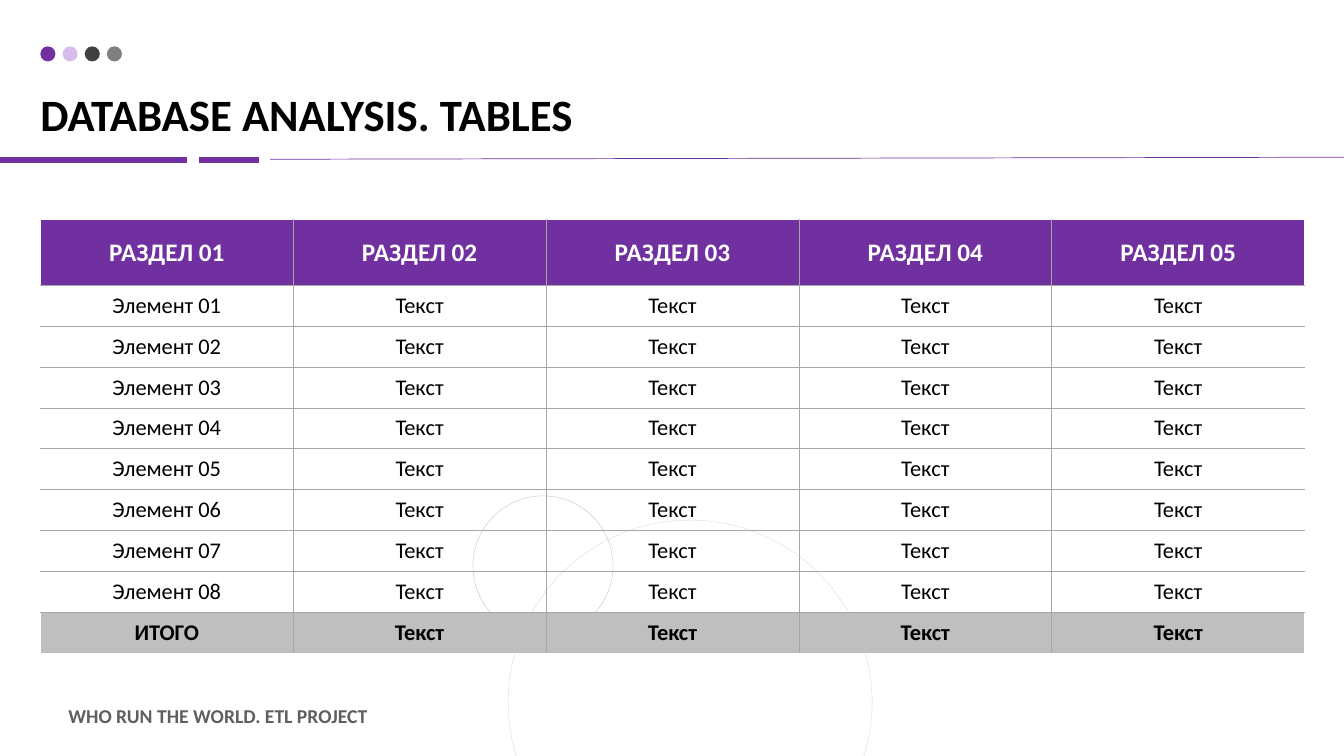
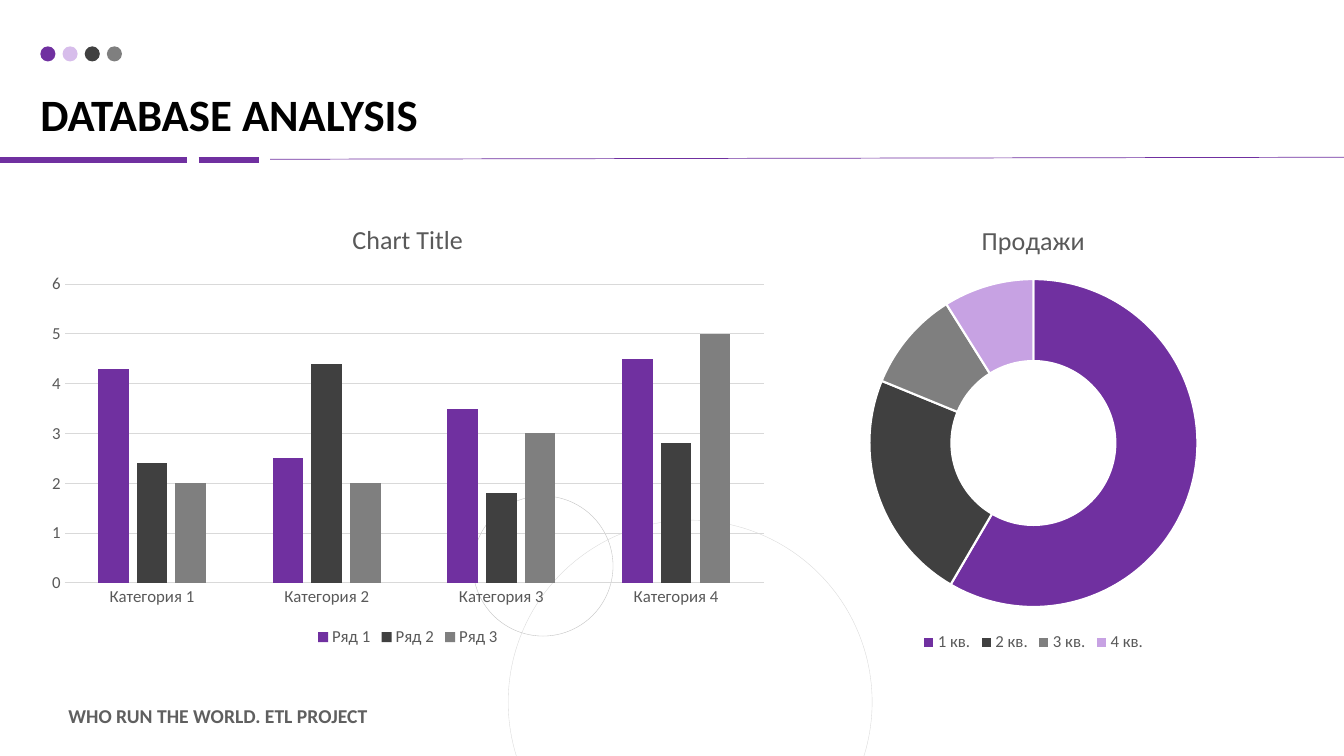
"""Build a table slide and a chart slide that share one frame."""
from lxml.etree import SubElement
from pptx import Presentation
from pptx.chart.data import CategoryChartData
from pptx.dml.color import RGBColor
from pptx.enum.chart import XL_CHART_TYPE as CHART
from pptx.enum.chart import XL_LEGEND_POSITION as LEGEND
from pptx.enum.chart import XL_TICK_MARK as TICK
from pptx.enum.shapes import MSO_CONNECTOR as CONNECTOR
from pptx.enum.shapes import MSO_SHAPE as SHAPE
from pptx.enum.text import MSO_ANCHOR as ANCHOR
from pptx.enum.text import PP_ALIGN as ALIGN
from pptx.oxml.ns import qn
from pptx.util import Inches, Pt

FONT = "Calibri"
PURPLE, LILAC, DARK, GRAY = "7030A0", "C7A2E3", "404040", "7F7F7F"
WHITE, BLACK, LABEL, FOOTER = "FFFFFF", "000000", "595959", "5F5F5F"
GRID, BORDER, TOTAL = "D9D9D9", "A6A6A6", "BFBFBF"
LEFT, WIDTH = 0.4, 12.54


def rgb(color):
    return RGBColor.from_string(color)


def write(tf, text, size=16, color=BLACK, bold=False, align=None, spacing=None, before=None):
    p = tf.paragraphs[0]
    p.alignment, p.line_spacing = align, spacing
    if before is not None:
        p.space_before = Pt(before)
    r = p.add_run()
    r.text = text
    r.font.name, r.font.size, r.font.bold = FONT, Pt(size), bold
    r.font.color.rgb = rgb(color)


prs = Presentation()
prs.slide_width, prs.slide_height = Inches(13.33), Inches(7.5)

for title in ("DATABASE ANALYSIS. TABLES", "DATABASE ANALYSIS"):
    s = prs.slides.add_slide(prs.slide_layouts[6])

    for x1, y1, x2, y2, weight in (
        (-0.03, 1.59, 1.85, 1.59, 4.5),
        (1.97, 1.59, 2.57, 1.59, 4.5),
        (2.68, 1.58, 13.33, 1.56, 0.5),
    ):
        line = s.shapes.add_connector(
            CONNECTOR.STRAIGHT, Inches(x1), Inches(y1), Inches(x2), Inches(y2))
        line.line.color.rgb = rgb(PURPLE)
        line.line.width = Pt(weight)
        SubElement(line._element.spPr, qn("a:effectLst"))

    for i, color in enumerate((PURPLE, LILAC, DARK, GRAY)):
        dot = s.shapes.add_shape(
            SHAPE.OVAL, Inches(LEFT + 0.22 * i), Inches(0.46), Inches(0.15), Inches(0.15))
        dot.shadow.inherit = False
        dot.fill.solid()
        dot.fill.fore_color.rgb = rgb(color)
        dot.line.fill.background()
        if color == LILAC:
            tint = dot._element.spPr.find(qn("a:solidFill"))[0]
            SubElement(tint, qn("a:alpha"), val="70000")

    for x, y, size, color in ((5.04, 5.16, 3.61, GRID), (4.69, 4.92, 1.39, TOTAL)):
        ring = s.shapes.add_shape(SHAPE.OVAL, Inches(x), Inches(y), Inches(size), Inches(size))
        ring.shadow.inherit = False
        ring.fill.background()
        ring.line.color.rgb = rgb(color)
        ring.line.width = Pt(0.25)

    tf = s.shapes.add_textbox(
        Inches(LEFT), Inches(0.27), Inches(WIDTH), Inches(1.13)).text_frame
    tf.word_wrap = True
    tf.vertical_anchor = ANCHOR.BOTTOM
    tf.margin_left = tf.margin_right = tf.margin_top = tf.margin_bottom = 0
    write(tf, title, size=32, bold=True, spacing=0.9)

    tf = s.shapes.add_textbox(
        Inches(0.58), Inches(6.96), Inches(3.66), Inches(0.27)).text_frame
    tf.word_wrap = True
    write(tf, "WHO RUN THE WORLD. ETL PROJECT", size=14, color=FOOTER, bold=True,
          spacing=0.9, before=10)

table_slide, chart_slide = prs.slides

rows = [[f"РАЗДЕЛ {n:02}" for n in range(1, 6)]]
rows += [[f"Элемент {n:02}"] + ["Текст"] * 4 for n in range(1, 9)]
rows += [["ИТОГО"] + ["Текст"] * 4]
last_row, last_col = len(rows) - 1, len(rows[0]) - 1
height, head_height = 4.3, 0.65

table = table_slide.shapes.add_table(
    len(rows), len(rows[0]), Inches(LEFT), Inches(2.18), Inches(WIDTH), Inches(height)).table
table.first_row = table.horz_banding = False
for col in table.columns:
    col.width = Inches(WIDTH / len(rows[0]))
for i, row in enumerate(table.rows):
    row.height = Inches((height - head_height) / last_row if i else head_height)

for i, row in enumerate(rows):
    for j, text in enumerate(row):
        cell = table.cell(i, j)
        cell.vertical_anchor = ANCHOR.MIDDLE
        write(cell.text_frame, text, size=16 if i else 18, color=BLACK if i else WHITE,
              bold=i in (0, last_row), align=ALIGN.CENTER)
        outer = {"L": j == 0, "R": j == last_col, "T": i == 0, "B": i == last_row}
        for side, is_outer in outer.items():
            ln = SubElement(cell._tc.get_or_add_tcPr(), qn(f"a:ln{side}"),
                            w=str(Pt(1 if is_outer else 0.5)))
            fill = SubElement(ln, qn("a:solidFill"))
            SubElement(fill, qn("a:srgbClr"), val=WHITE if is_outer else BORDER)
        if i in (0, last_row):
            cell.fill.solid()
            cell.fill.fore_color.rgb = rgb(TOTAL if i else PURPLE)
        else:
            cell.fill.background()

sales = CategoryChartData()
sales.categories = [f"{n} кв." for n in range(1, 5)]
sales.add_series("Продажи", (59, 23, 10, 9))

groups = CategoryChartData()
groups.categories = [f"Категория {n}" for n in range(1, 5)]
groups.add_series("Ряд 1", (4.3, 2.5, 3.5, 4.5))
groups.add_series("Ряд 2", (2.4, 4.4, 1.8, 2.8))
groups.add_series("Ряд 3", (2, 2, 3, 5))

charts = []
for kind, data, title, x, width, height in (
    (CHART.DOUGHNUT, sales, "Продажи", 7.56, 5.38, 4.5),
    (CHART.COLUMN_CLUSTERED, groups, "Chart Title", 0.37, 7.35, 4.45),
):
    chart = chart_slide.shapes.add_chart(
        kind, Inches(x), Inches(2.01), Inches(width), Inches(height), data).chart
    chart.font.name, chart.font.size = FONT, Pt(12)
    chart.font.color.rgb = rgb(LABEL)
    chart.has_title = True
    write(chart.chart_title.text_frame, title, size=18.6, color=LABEL)
    chart.chart_title.include_in_layout = False
    chart.has_legend = True
    chart.legend.position = LEGEND.BOTTOM
    chart.legend.include_in_layout = False
    charts.append(chart)
doughnut, columns = charts

plot = doughnut.plots[0]
plot._element.find(qn("c:holeSize")).set("val", "75")
for i, color in enumerate((PURPLE, DARK, GRAY, LILAC)):
    point = plot.series[0].points[i].format
    point.fill.solid()
    point.fill.fore_color.rgb = rgb(color)
    point.line.color.rgb = rgb(WHITE)
    point.line.width = Pt(1.5)

plot = columns.plots[0]
plot.vary_by_categories = False
plot.gap_width, plot.overlap = 219, -27
for series, color in zip(plot.series, (PURPLE, DARK, GRAY)):
    series.format.fill.solid()
    series.format.fill.fore_color.rgb = rgb(color)

values, categories = columns.value_axis, columns.category_axis
for axis in (values, categories):
    axis.major_tick_mark = axis.minor_tick_mark = TICK.NONE
values.minimum_scale, values.maximum_scale, values.major_unit = 0, 6, 1
values.format.line.fill.background()
for line in (values.major_gridlines.format.line, categories.format.line):
    line.color.rgb = rgb(GRID)
    line.width = Pt(0.75)

prs.save("out.pptx")
